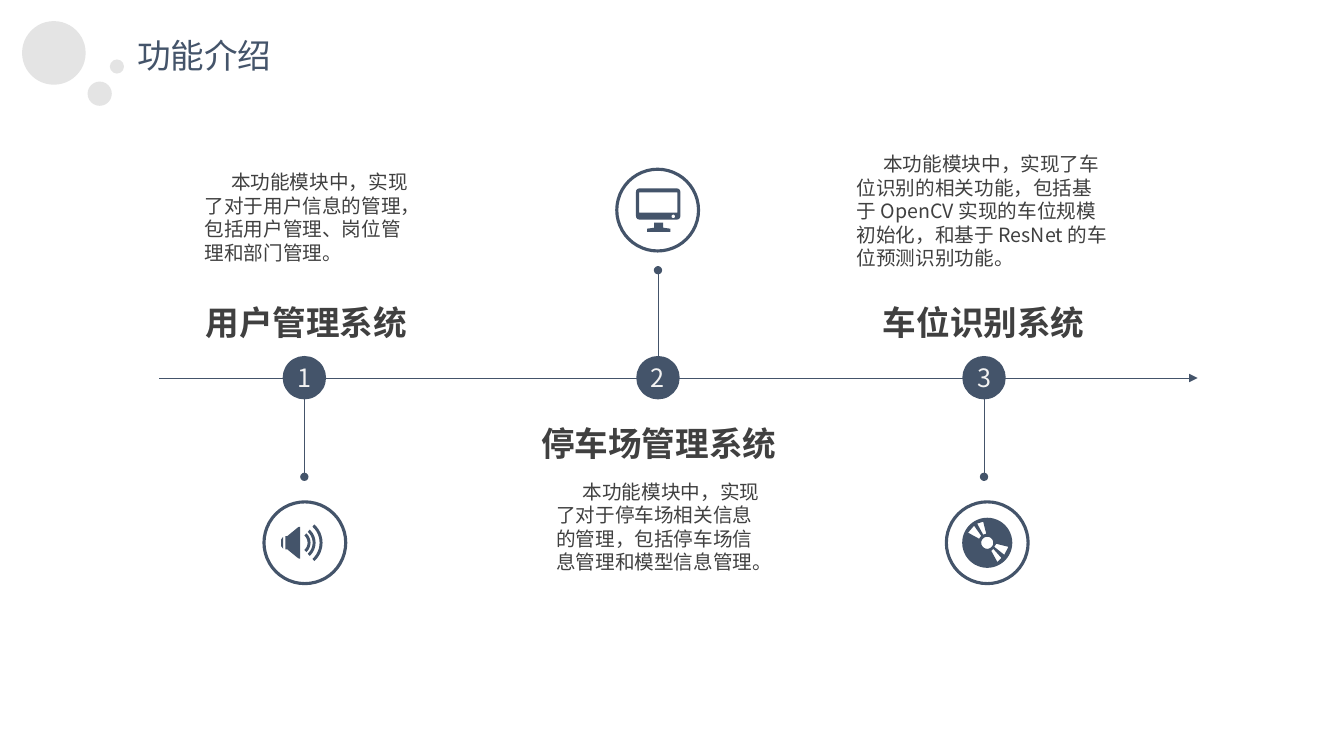
import math

import lxml.etree
import pptx
import pptx.dml.color
import pptx.enum.shapes
import pptx.enum.text
import pptx.oxml
import pptx.oxml.ns
import pptx.util

Pt = pptx.util.Pt
RGBColor = pptx.dml.color.RGBColor
SHAPE = pptx.enum.shapes.MSO_SHAPE
ALIGN = pptx.enum.text.PP_ALIGN
ANCHOR = pptx.enum.text.MSO_ANCHOR
qn = pptx.oxml.ns.qn

FONT = "Noto Sans CJK SC"
NAVY = RGBColor(0x44, 0x54, 0x6A)
INK = RGBColor(0x40, 0x40, 0x40)
PALE = RGBColor(0xF2, 0xF2, 0xF2)
BUBBLE_GREY = RGBColor(0xD9, 0xD9, 0xD9)

AXIS_Y = 269.8
BADGE_SIZE = 31
RING_SIZE = 58.4

# left, top, diameter
BUBBLES = [(15.8, 15.1, 45.4), (62.6, 58.3, 17.3), (78.5, 42.5, 10.1)]

# Each station: axis x, stem (top, bottom), ring centre,
# heading text and box, body text and box
STATIONS = [
    (217.4, (269.3, 340.6), (217.8, 387.7),
     "用户管理系统", (134.6, 211, 168.5, 34.6),
     "本功能模块中，实现了对于用户信息的管理，包括用户管理、岗位管理和部门管理。",
     (139, 116.6, 162, 74.9)),
    (470, (193, 264.2), (469.8, 150.1),
     "停车场管理系统", (370.1, 297.4, 200.9, 34.6),
     "本功能模块中，实现了对于停车场相关信息的管理，包括停车场信息管理和模型信息管理。",
     (390.2, 337.7, 160.6, 92.2)),
    (702.9, (269.3, 340.6), (705.2, 387.7),
     "车位识别系统", (612.7, 211, 180, 34.6),
     "本功能模块中，实现了车位识别的相关功能，包括基于 OpenCV 实现的车位规模初始化，"
     "和基于 ResNet 的车位预测识别功能。",
     (604.8, 103.7, 195.8, 92.2)),
]


def style_para(para, size, color, align, bold=False, pitch=None):
    para.alignment = align
    if pitch:
        para.line_spacing = Pt(pitch)
    for span in para.runs:
        span.font.size = Pt(size)
        span.font.bold = bold
        span.font.color.rgb = color
        span.font.name = FONT
        east_asian = lxml.etree.SubElement(span.font._element, qn("a:ea"))
        east_asian.set("typeface", FONT)


def fill_text(box, text, size, color, align, bold=False, pitch=1.2):
    frame = box.text_frame
    frame.text = text
    frame.word_wrap = True
    frame.vertical_anchor = ANCHOR.TOP
    frame.margin_left = frame.margin_right = Pt(7.2)
    frame.margin_top = Pt(3.6 + size * 0.1)
    frame.margin_bottom = Pt(3.6)
    para = frame.paragraphs[0]
    style_para(para, size, color, align, bold, size * pitch)
    return para


def add_title(page, text):
    title = page.shapes.title
    title.left, title.top, title.width, title.height = Pt(90.7), Pt(18.7), Pt(111.6), Pt(36)
    fill_text(title, text, 24, NAVY, ALIGN.LEFT)
    title.text_frame.auto_size = pptx.enum.text.MSO_AUTO_SIZE.NONE
    title.text_frame.word_wrap = False


def add_text(page, bounds, *style, **options):
    box = page.shapes.add_textbox(*map(Pt, bounds))
    return fill_text(box, *style, **options)


def add_circle(page, left, top, size, fill=None, kind=SHAPE.OVAL):
    circle = page.shapes.add_shape(kind, Pt(left), Pt(top), Pt(size), Pt(size))
    circle.shadow.inherit = False
    circle.line.fill.background()
    if fill is None:
        circle.fill.background()
    else:
        circle.fill.solid()
        circle.fill.fore_color.rgb = fill
    return circle


def add_bubble(page, left, top, size):
    bubble = add_circle(page, left, top, size, BUBBLE_GREY, SHAPE.FLOWCHART_CONNECTOR)
    color = bubble._element.spPr.find(".//" + qn("a:srgbClr"))
    lxml.etree.SubElement(color, qn("a:alpha")).set("val", "70000")


def add_line(page, start, end, head=None, tail=None):
    line = page.shapes.add_connector(
        pptx.enum.shapes.MSO_CONNECTOR.STRAIGHT, *map(Pt, start + end))
    line.line.color.rgb = NAVY
    line.line.width = Pt(0.5)
    outline = line.line._get_or_add_ln()
    for tag, arrow in (("a:headEnd", head), ("a:tailEnd", tail)):
        if arrow:
            lxml.etree.SubElement(outline, qn(tag)).set("type", arrow)
    lxml.etree.SubElement(line._element.spPr, qn("a:effectLst"))


def add_badge(page, x, number):
    badge = add_circle(page, x - BADGE_SIZE / 2, AXIS_Y - BADGE_SIZE / 2, BADGE_SIZE, NAVY)
    frame = badge.text_frame
    frame.text = str(number)
    frame.vertical_anchor = ANCHOR.MIDDLE
    frame.margin_left = frame.margin_right = frame.margin_top = frame.margin_bottom = 0
    style_para(frame.paragraphs[0], 18, PALE, ALIGN.CENTER)


def add_ring(page, x, y):
    ring = add_circle(page, x - RING_SIZE / 2, y - RING_SIZE / 2, RING_SIZE)
    ring.line.color.rgb = NAVY
    ring.line.width = Pt(2.25)


def arc(x, y, radius, start, end, steps=12):
    angles = [math.radians(start + (end - start) * i / steps) for i in range(steps + 1)]
    return [(x + radius * math.cos(a), y + radius * math.sin(a)) for a in angles]


def add_outline(page, center, contours):
    """Draw contours given relative to center; inner contours become holes."""
    placed = [[(Pt(center[0] + x), Pt(center[1] + y)) for x, y in c] for c in contours]
    builder = page.shapes.build_freeform(*placed[0][0], scale=1.0)
    for index, contour in enumerate(placed):
        if index:
            builder.move_to(*contour[0])
        builder.add_line_segments(contour[1:], close=True)
    outline = builder.convert_to_shape()
    outline.shadow.inherit = False
    outline.fill.solid()
    outline.fill.fore_color.rgb = NAVY
    outline.line.fill.background()


def add_speaker(page, center):
    cone = [(-4.7, -11.2), (-12.6, -4.7), (-14, -4.7), (-14, 4.7),
            (-12.6, 4.7), (-4.7, 11.2), (-3.4, 11.4), (-3.4, -11.4)]
    back = [(-16.9, -2.5), (-15.5, -4.3), (-15.5, 4.3), (-16.9, 2.5)]
    waves = [arc(-5, 0, r, -48, 48) + arc(-5, 0, r - 2.1, 48, -48) for r in (9, 12.6, 17.6)]
    for contour in [cone, back] + waves:
        add_outline(page, center, [contour])


def add_monitor(page, center):
    corners = [(-13, -13, 180), (13.7, -13, 270), (13.7, 4.3, 0), (-13, 4.3, 90)]
    case = [point for x, y, turn in corners for point in arc(x, y, 2.5, turn, turn + 90, 4)]
    screen = [(-13.3, -12.6), (-13.3, 1.8), (14, 1.8), (14, -12.6)]
    stand = [(-7.6, 15.5), (-7.6, 13.3), (-2.5, 12.6), (-2.5, 9),
             (4, 9), (4, 12.6), (9, 13.3), (9, 15.5)]
    add_outline(page, center, [case, screen, stand, arc(11.2, 4.5, 1.3, 0, 360)])


def add_disc(page, center):
    glints = [[(-2.9, -5.8), (-0.7, -6.5), (-2.9, -15.1), (-7.2, -13.7)],
              [(-13.7, -7.2), (-5.8, -2.9), (-4.3, -5), (-9.4, -12.2)],
              [(4.3, 4.3), (2.9, 5.8), (7.2, 13.7), (10.1, 10.8)],
              [(15.1, 2.9), (6.5, 0.7), (5, 2.9), (12.2, 8.6)]]
    rim, hole = (arc(0, 0, radius, 0, 360, 48) for radius in (17.9, 4.3))
    add_outline(page, center, [rim, hole] + glints)


def main():
    deck = pptx.Presentation()
    deck.slide_width, deck.slide_height = Pt(960), Pt(540)
    page = deck.slides.add_slide(deck.slide_layouts[5])

    # Title with bubbles
    for bubble in BUBBLES:
        add_bubble(page, *bubble)
    add_title(page, "功能介绍")

    # Stems and timeline, behind the badges
    for x, (top, bottom), *_ in STATIONS:
        add_line(page, (x, top), (x, bottom), "oval", "oval")
    add_line(page, (113.8, AXIS_Y + 0.2), (855.4, AXIS_Y + 0.2), tail="triangle")

    # Stations
    icons = [add_speaker, add_monitor, add_disc]
    for number, (station, add_icon) in enumerate(zip(STATIONS, icons), start=1):
        x, _, center, heading, heading_bounds, body, body_bounds = station
        add_badge(page, x, number)
        add_ring(page, *center)
        add_icon(page, center)
        para = add_text(page, body_bounds, body, 14, INK, ALIGN.LEFT)
        para._p.get_or_add_pPr().set("indent", str(Pt(19)))
        add_text(page, heading_bounds, heading, 24, INK, ALIGN.CENTER, bold=True, pitch=1.13)

    deck.save("out.pptx")


if __name__ == "__main__":
    main()
